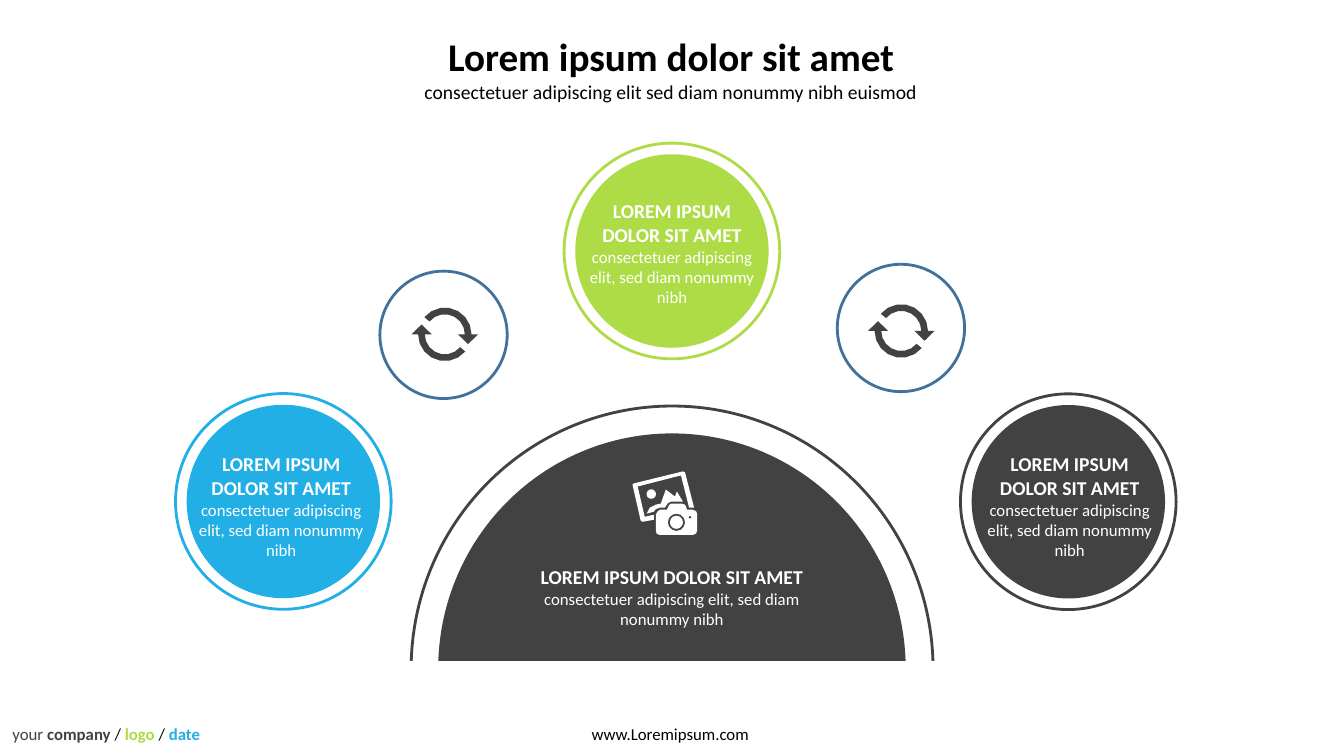
from dataclasses import dataclass
from math import cos, radians, sin

from pptx import Presentation
from pptx.dml.color import RGBColor
from pptx.enum.shapes import MSO_SHAPE as Kind
from pptx.enum.text import MSO_ANCHOR as Anchor, MSO_AUTO_SIZE as Fit, PP_ALIGN as Align
from pptx.util import Pt

Point = tuple[float, float]


@dataclass(frozen=True)
class Theme:
    font: str = "Calibri"
    black: str = "000000"
    white: str = "FFFFFF"
    dark: str = "424242"
    blue: str = "21AFE6"
    green: str = "AEDC46"
    steel: str = "42719B"
    title: float = 28
    head: float = 14
    body: float = 12
    line: float = 2


@dataclass(frozen=True)
class Orb:
    mid: Point
    label: Point
    color: str


@dataclass(frozen=True)
class Badge:
    mid: Point
    icon: Point


T = Theme()
HEAD = "LOREM IPSUM DOLOR SIT AMET"
BODY = "consectetuer adipiscing elit, sed diam nonummy nibh"
RING, DISC, BADGE = 154.1, 138.2, 91
ORBS = [
    Orb((202.5, 358.2), (133.7, 319.5), T.blue),
    Orb((480.2, 179.3), (413, 138.8), T.green),
    Orb((763.5, 358.4), (697.2, 319.5), T.dark),
]
BADGES = [
    Badge((317, 239.2), (317.9, 238.8)),
    Badge((643.9, 234.3), (644.1, 236.4)),
]

# Photo and camera icon, on a grid of 0.72 pt
ICON, GRID = (451.4, 336), 0.72
FRAME = [(6, 16), (49, 5), (57, 37), (62, 37), (53, 2), (51, 1), (2, 13),
         (1, 14), (1, 15), (9, 50), (11, 51), (22, 49), (22, 44), (13, 46)]
HILLS = [(28, 37), (33, 37), (36, 32.5), (39, 31), (51, 31), (45, 21),
         (43, 26), (34, 19), (29, 33), (24, 34), (18, 37), (15, 43),
         (22, 41), (24, 38.5)]
CAMERA = [(65, 43), (64, 40.5), (61, 39), (55, 39), (54, 36), (53, 34),
          (50, 33), (39, 33), (37, 34.5), (35.5, 38), (35, 39), (28, 39),
          (25.5, 41), (24, 44), (24, 60), (25, 63), (28, 64), (61, 64),
          (64, 62.5), (65, 60)]
SPOT, LENS, FLASH = (19.5, 23.5), (44.5, 51.5), (58, 46.5)


def write(para, text: str, *, size: float = T.body, bold: bool = False,
          color: str = T.black) -> None:
    """Add one formatted run to a paragraph."""
    run = para.add_run()
    run.text = text
    font = run.font
    font.name, font.size, font.bold = T.font, Pt(size), bold
    font.color.rgb = RGBColor.from_string(color)


def paint(shape, fill: str, line: str | None = None) -> None:
    shape.shadow.inherit = False
    shape.fill.solid()
    shape.fill.fore_color.rgb = RGBColor.from_string(fill)
    if line:
        shape.line.color.rgb = RGBColor.from_string(line)
        shape.line.width = Pt(T.line)
    else:
        shape.line.fill.background()


def box(slide, kind: Kind, left: float, top: float, width: float,
        height: float, fill: str, line: str | None = None) -> None:
    shape = slide.shapes.add_shape(kind, Pt(left), Pt(top), Pt(width), Pt(height))
    paint(shape, fill, line)


def disc(slide, mid: Point, size: float, fill: str, line: str | None = None) -> None:
    box(slide, Kind.OVAL, mid[0] - size / 2, mid[1] - size / 2, size, size, fill, line)


def label(slide, left: float, top: float, width: float, height: float,
          wrap: bool = True):
    """Add a text box and return its text frame."""
    frame = slide.shapes.add_textbox(Pt(left), Pt(top), Pt(width), Pt(height)).text_frame
    frame.word_wrap, frame.auto_size = wrap, Fit.SHAPE_TO_FIT_TEXT
    return frame


def pair(frame, head: str, body: str, size: float, small: float, color: str) -> None:
    """Fill a frame with a bold heading and a plain line under it."""
    first, last = frame.paragraphs[0], frame.add_paragraph()
    first.alignment = last.alignment = Align.CENTER
    write(first, head, size=size, bold=True, color=color)
    write(last, body, size=small, color=color)


def arc(mid: Point, size: float, start: int, stop: int, step: int) -> list[Point]:
    """Points on a circle of radius size, from start to stop in degrees."""
    return [(mid[0] + size * cos(radians(a)), mid[1] + size * sin(radians(a)))
            for a in range(start, stop + step, step)]


def trace(slide, loops: list[list[Point]], fill: str, base: Point,
          unit: float = 1) -> None:
    """Draw closed loops as one outline; inner loops are holes."""
    rows = [[(Pt(base[0] + x * unit), Pt(base[1] + y * unit)) for x, y in loop]
            for loop in loops]
    pen = slide.shapes.build_freeform(*rows[0][0], scale=1.0)
    for i, row in enumerate(rows):
        if i:
            pen.move_to(*row[0])
        pen.add_line_segments(row[1:], close=True)
    paint(pen.convert_to_shape(), fill)


def cycle(slide, mid: Point) -> None:
    """Draw two arrows that chase each other round a point."""
    inner, outer = 14.3, 19.1
    head = [(-9.4, 0), (-16.6, -7), (-23.8, 0)]
    half = arc((0, 0), inner, 40, 180, 20) + head + arc((0, 0), outer, 180, 40, -20)
    trace(slide, [half, [(-x, -y) for x, y in half]], T.dark, mid)


def photo(slide) -> None:
    def place(point: Point) -> Point:
        return ICON[0] + point[0] * GRID, ICON[1] + point[1] * GRID

    for loops in ([FRAME], [HILLS],
                  [CAMERA, arc(LENS, 8.6, 0, 330, 30), arc(FLASH, 1.6, 0, 270, 90)]):
        trace(slide, loops, T.white, ICON, GRID)
    disc(slide, place(SPOT), 6.8, T.white)
    disc(slide, place(LENS), 9.4, T.white)


def dome(slide) -> None:
    """Draw the large half circle, cut off by the footer band."""
    box(slide, Kind.OVAL, 293.8, 290, 373, 375.8, T.white, T.dark)
    box(slide, Kind.OVAL, 313.2, 309.6, 334.1, 336.2, T.dark)
    box(slide, Kind.RECTANGLE, 0, 472.3, 960.48, 67.7, T.white)
    photo(slide)
    pair(label(slide, 378.3, 400.1, 203.8, 53.3), HEAD, BODY, T.head, T.body, T.white)


def title(slide) -> None:
    shape = slide.shapes.title
    shape.left, shape.top, shape.width, shape.height = Pt(286.9), Pt(19.7), Pt(385.2), Pt(57.6)
    frame = shape.text_frame
    frame.auto_size, frame.vertical_anchor = Fit.SHAPE_TO_FIT_TEXT, Anchor.TOP
    pair(frame, "Lorem ipsum dolor sit amet",
         "consectetuer adipiscing elit sed diam nonummy nibh euismod",
         T.title, T.head, T.black)


def footer(slide) -> None:
    write(label(slide, 415.7, 513.4, 127.4, 21.6, wrap=False).paragraphs[0],
          "www.Loremipsum.com")
    para = label(slide, 1.8, 513.4, 149, 21.6, wrap=False).paragraphs[0]
    for text, bold, color in [
        ("your ", False, T.dark), ("company ", True, T.dark), ("/ ", False, T.black),
        ("logo ", True, T.green), ("/ ", False, T.black), ("date", True, T.blue),
    ]:
        write(para, text, bold=bold, color=color)


def main() -> None:
    deck = Presentation()
    deck.slide_width, deck.slide_height = Pt(960.48), Pt(540)
    slide = deck.slides.add_slide(deck.slide_layouts.get_by_name("Title Only"))
    title(slide)
    dome(slide)
    footer(slide)
    for orb in ORBS:
        disc(slide, orb.mid, RING, T.white, orb.color)
        disc(slide, orb.mid, DISC, orb.color)
        pair(label(slide, *orb.label, 134.6, 84.2), HEAD, BODY, T.head, T.body, T.white)
    for badge in BADGES:
        disc(slide, badge.mid, BADGE, T.white, T.steel)
        cycle(slide, badge.icon)
    deck.save("out.pptx")


if __name__ == "__main__":
    main()
